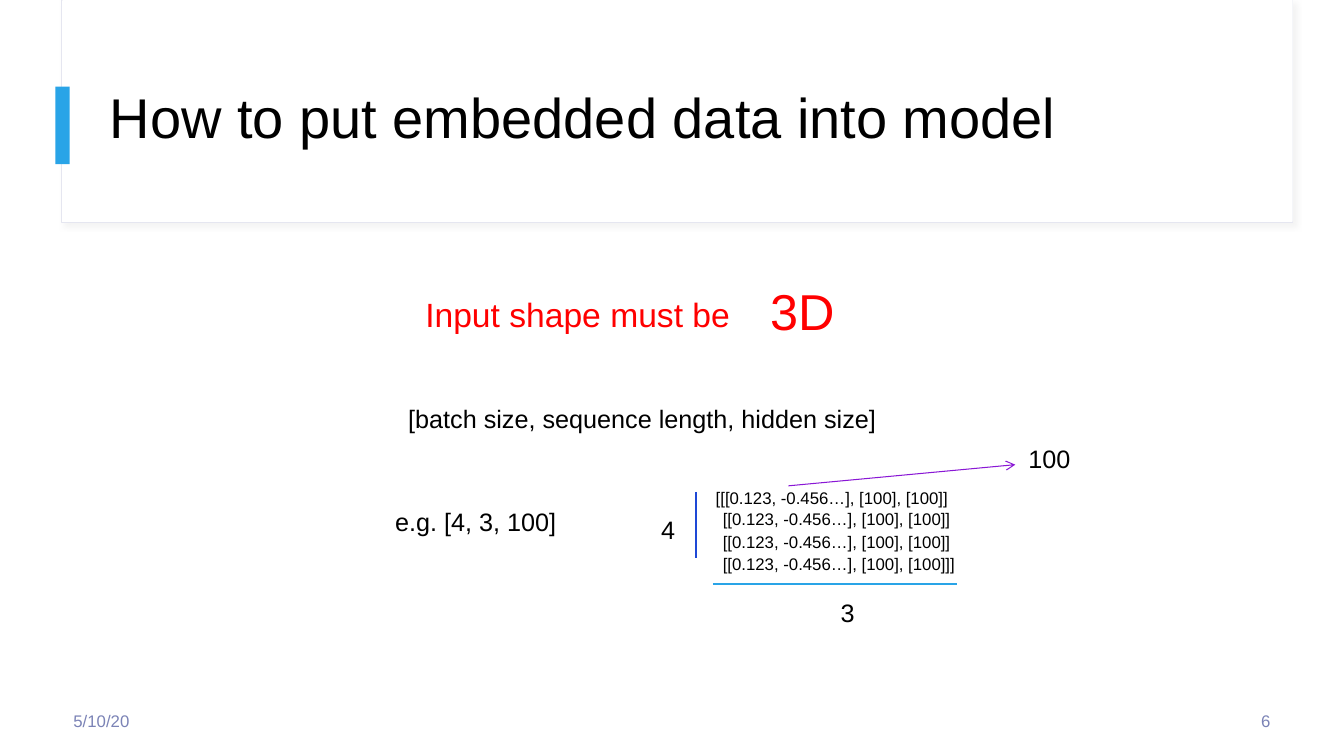
from lxml.etree import SubElement as Sub
from pptx import Presentation
from pptx.dml.color import RGBColor as RGB
from pptx.enum.shapes import MSO_CONNECTOR as LINK, MSO_SHAPE as SHAPE
from pptx.enum.text import MSO_ANCHOR as ANCHOR, MSO_AUTO_SIZE as AUTO, PP_ALIGN as ALIGN
from pptx.oxml.ns import qn
from pptx.util import Inches, Pt

BLACK = RGB(0x00, 0x00, 0x00)
WHITE = RGB(0xFF, 0xFF, 0xFF)
RED = RGB(0xFF, 0x00, 0x00)
SKY = RGB(0x29, 0xA4, 0xE7)
BLUE = RGB(0x1E, 0x48, 0xD6)
PURPLE = RGB(0x89, 0x17, 0xD5)
PALE = RGB(0xE5, 0xE6, 0xF0)
SLATE = RGB(0x7B, 0x83, 0xB6)

deck = Presentation()
deck.slide_width, deck.slide_height = Inches(13.33), Inches(7.5)
slide = deck.slides.add_slide(deck.slide_layouts[6])


def write(text, left, top, width, height, size=18, color=BLACK, align=ALIGN.LEFT,
          anchor=ANCHOR.TOP, wrap=False, after=0, space=1.0):
    box = slide.shapes.add_textbox(Inches(left), Inches(top), Inches(width), Inches(height))
    frame = box.text_frame
    frame.word_wrap = wrap
    frame.auto_size = AUTO.NONE if wrap else AUTO.SHAPE_TO_FIT_TEXT
    frame.vertical_anchor = anchor
    para = frame.paragraphs[0]
    para.alignment = align
    para.space_after = Pt(after)
    para.line_spacing = space
    run = para.add_run()
    run.text = text
    run.font.name = "Arial"
    run.font.size = Pt(size)
    run.font.color.rgb = color


panels = []
for left, top, width, height, fill, edge in [
    (0.61, 0, 12.21, 2.21, WHITE, PALE),
    (0.62, 0, 12.2, 2.2, WHITE, None),
    (0.55, 0.86, 0.14, 0.77, SKY, None),
]:
    panel = slide.shapes.add_shape(
        SHAPE.RECTANGLE, Inches(left), Inches(top), Inches(width), Inches(height))
    panel.fill.solid()
    panel.fill.fore_color.rgb = fill
    if edge:
        panel.line.color.rgb = edge
        panel.line.width = Pt(0.75)
    else:
        panel.line.fill.background()
    panel.shadow.inherit = False
    panels.append(panel)

glow = panels[0].element.spPr.find(qn("a:effectLst"))
shade = Sub(glow, qn("a:outerShdw"), blurRad=str(Pt(4)), dist=str(Pt(3)),
            dir=str(45 * 60000), algn="tl", rotWithShape="0")
tint = Sub(shade, qn("a:srgbClr"), val="D9D9D9")
Sub(tint, qn("a:alpha"), val="30000")

write("How to put embedded data into model", 0.99, 0.44, 10.67, 1.5, size=40,
      anchor=ANCHOR.MIDDLE, wrap=True, space=0.9)
for text, left, align in [("5/10/20", 0.63, ALIGN.LEFT), ("6", 9.7, ALIGN.RIGHT)]:
    write(text, left, 6.95, 3, 0.4, size=12, color=SLATE, align=align,
          anchor=ANCHOR.MIDDLE, wrap=True, after=6)

write("Input shape must be", 4.12, 2.87, 3.35, 0.5, size=24, color=RED)
write("3D", 7.54, 2.73, 0.85, 0.71, size=36, color=RED)

for text, left, top, width in [
    ("[batch size, sequence length, hidden size]", 3.95, 3.95, 4.89),
    ("e.g. [4, 3, 100]", 3.82, 4.97, 1.81),
    ("4", 6.46, 5.05, 0.34),
    ("3", 8.24, 5.88, 0.34),
    ("100", 10.1, 4.35, 0.62),
]:
    write(text, left, top, width, 0.4)

row = "[[0.123, -0.456…], [100], [100]]"
for text, left, top in [
    ("[" + row, 7, 4.79),
    (row, 7.07, 5),
    (row, 7.07, 5.23),
    (row + "]", 7.07, 5.44),
]:
    write(text, left, top, 2.58, 0.3, size=12)

for start, end, color, width, arrow in [
    ((6.9, 4.88), (6.9, 5.54), BLUE, 1.5, False),
    ((7.07, 5.79), (9.49, 5.79), SKY, 1.5, False),
    ((7.82, 4.82), (10.07, 4.61), PURPLE, 0.75, True),
]:
    link = slide.shapes.add_connector(
        LINK.STRAIGHT, *[Inches(n) for n in start + end])
    link.line.color.rgb = color
    link.line.width = Pt(width)
    if arrow:
        Sub(link.line._get_or_add_ln(), qn("a:tailEnd"), type="arrow")
    Sub(link.element.spPr, qn("a:effectLst"))

deck.save("out.pptx")
